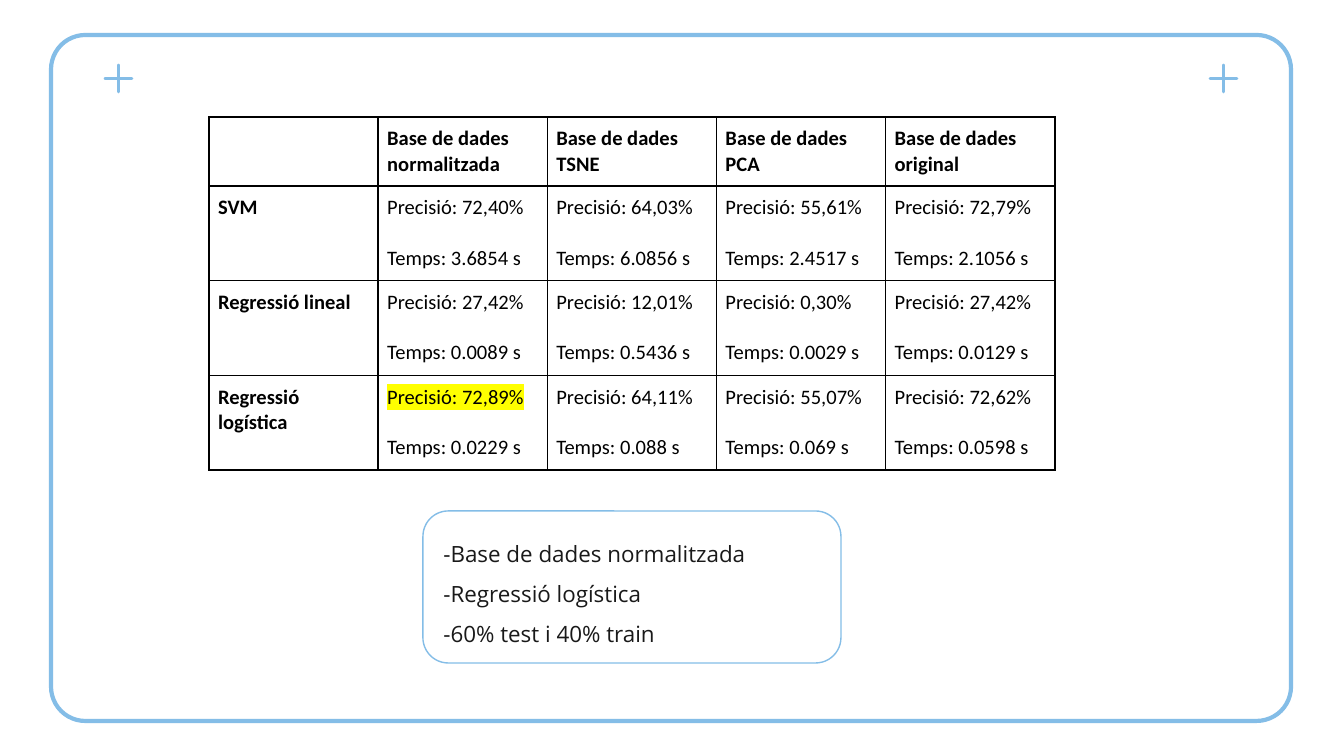
from lxml import etree
from pptx import Presentation
from pptx.dml.color import RGBColor
from pptx.enum.shapes import MSO_SHAPE
from pptx.enum.text import MSO_ANCHOR, PP_ALIGN
from pptx.oxml.ns import qn
from pptx.util import Pt

ROUNDED = MSO_SHAPE.ROUNDED_RECTANGLE
STAR = MSO_SHAPE.STAR_4_POINT
MIDDLE = MSO_ANCHOR.MIDDLE
LEFT = PP_ALIGN.LEFT

PX = 914400 / 134.4
COLORS = {
    "accent": "84BDE7",
    "paper": "FFFFFF",
    "ink": "191919",
    "table": "000000",
    "highlight": "FFFF00",
}

HEADERS = ["", "normalitzada", "TSNE", "PCA", "original"]
RESULTS = {
    "SVM": [("72,40", "3.6854"), ("64,03", "6.0856"), ("55,61", "2.4517"), ("72,79", "2.1056")],
    "Regressió lineal": [("27,42", "0.0089"), ("12,01", "0.5436"), ("0,30", "0.0029"), ("27,42", "0.0129")],
    "Regressió logística": [("72,89", "0.0229"), ("64,11", "0.088"), ("55,07", "0.069"), ("72,62", "0.0598")],
}
BEST_CELL = (3, 1)
CONCLUSIONS = ["-Base de dades normalitzada", "-Regressió logística", "-60% test i 40% train"]


def px(length):
    return round(length * PX)


def color(name):
    return RGBColor.from_string(COLORS[name])


def set_font(paragraph, name, size, color_name, bold=False):
    font = paragraph.font
    font.name, font.size, font.bold = name, Pt(size), bold
    font.color.rgb = color(color_name)


def add_outline(slide, kind, box, adjustment, width, fill=None):
    shape = slide.shapes.add_shape(kind, *map(px, box))
    shape.shadow.inherit = False
    shape.adjustments[0] = adjustment
    shape.line.color.rgb = color("accent")
    shape.line.width = Pt(width)
    if fill:
        shape.fill.solid()
        shape.fill.fore_color.rgb = color(fill)
    else:
        shape.fill.background()
    return shape


def add_frame(slide, box):
    left, top, width, height = box
    add_outline(slide, ROUNDED, box, 0.05, 2.25)
    size, margin = 27, 54
    for plus_left in (left + margin, left + width - margin - size):
        add_outline(slide, STAR, (plus_left, top + 30, size, size), 0, 1.5, "accent")


def add_conclusions(slide, box):
    shape = add_outline(slide, ROUNDED, box, 0.167, 0.75, "paper")
    frame = shape.text_frame
    frame.word_wrap = True
    frame.vertical_anchor = MIDDLE
    frame.margin_left = frame.margin_right = frame.margin_top = frame.margin_bottom = px(13)
    frame.text = "\n".join(CONCLUSIONS)
    for paragraph in frame.paragraphs:
        paragraph.alignment = LEFT
        paragraph.line_spacing = 1.5
        set_font(paragraph, "Open Sans", 12, "ink")


def add_borders(cell):
    properties = cell._tc.get_or_add_tcPr()
    for index, side in enumerate(("lnL", "lnR", "lnT", "lnB")):
        line = etree.Element(qn(f"a:{side}"), w=str(Pt(1)))
        fill = etree.SubElement(line, qn("a:solidFill"))
        etree.SubElement(fill, qn("a:srgbClr"), val=COLORS["table"])
        properties.insert(index, line)


def highlight(run):
    mark = etree.SubElement(run._r.get_or_add_rPr(), qn("a:highlight"))
    etree.SubElement(mark, qn("a:srgbClr"), val=COLORS["highlight"])


def fill_cell(cell, text, bold):
    cell.margin_left = cell.margin_right = cell.margin_top = cell.margin_bottom = px(9)
    cell.fill.background()
    add_borders(cell)
    cell.text = text
    for index, paragraph in enumerate(cell.text_frame.paragraphs):
        set_font(paragraph, "Calibri", 11, "table", bold)
        if index:
            paragraph.space_before = Pt(13.4)


def add_results(slide, box):
    header_height = 69
    left, top, width, height = box
    rows = [[f"Base de dades {name}" if name else "" for name in HEADERS]]
    for method, scores in RESULTS.items():
        rows.append([method] + [f"Precisió: {precision}%\nTemps: {time} s" for precision, time in scores])

    table = slide.shapes.add_table(len(rows), len(HEADERS), *map(px, box)).table
    table.first_row = table.horz_banding = False
    for column in table.columns:
        column.width = px(width / len(HEADERS))
    for index, row in enumerate(table.rows):
        row.height = px((height - header_height) / len(RESULTS) if index else header_height)
    for row_index, texts in enumerate(rows):
        for column_index, text in enumerate(texts):
            fill_cell(table.cell(row_index, column_index), text, row_index == 0 or column_index == 0)
    highlight(table.cell(*BEST_CELL).text_frame.paragraphs[0].runs[0])


def main():
    presentation = Presentation()
    presentation.slide_width, presentation.slide_height = px(1344), px(756)
    slide = presentation.slides.add_slide(presentation.slide_layouts[6])
    slide.background.fill.solid()
    slide.background.fill.fore_color.rgb = color("paper")
    add_frame(slide, (51, 35, 1240, 686))
    add_conclusions(slide, (423, 511, 418, 152))
    add_results(slide, (209, 117, 846, 353))
    presentation.save("out.pptx")


if __name__ == "__main__":
    main()
